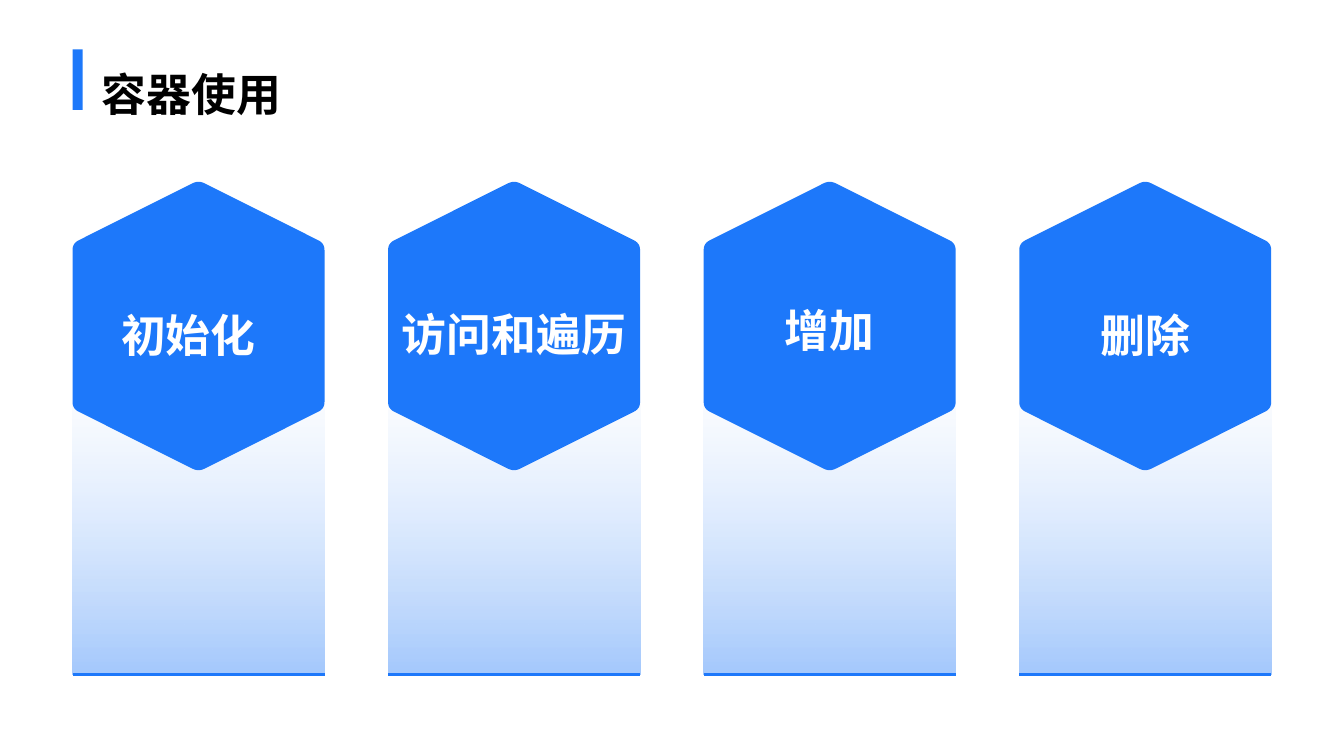
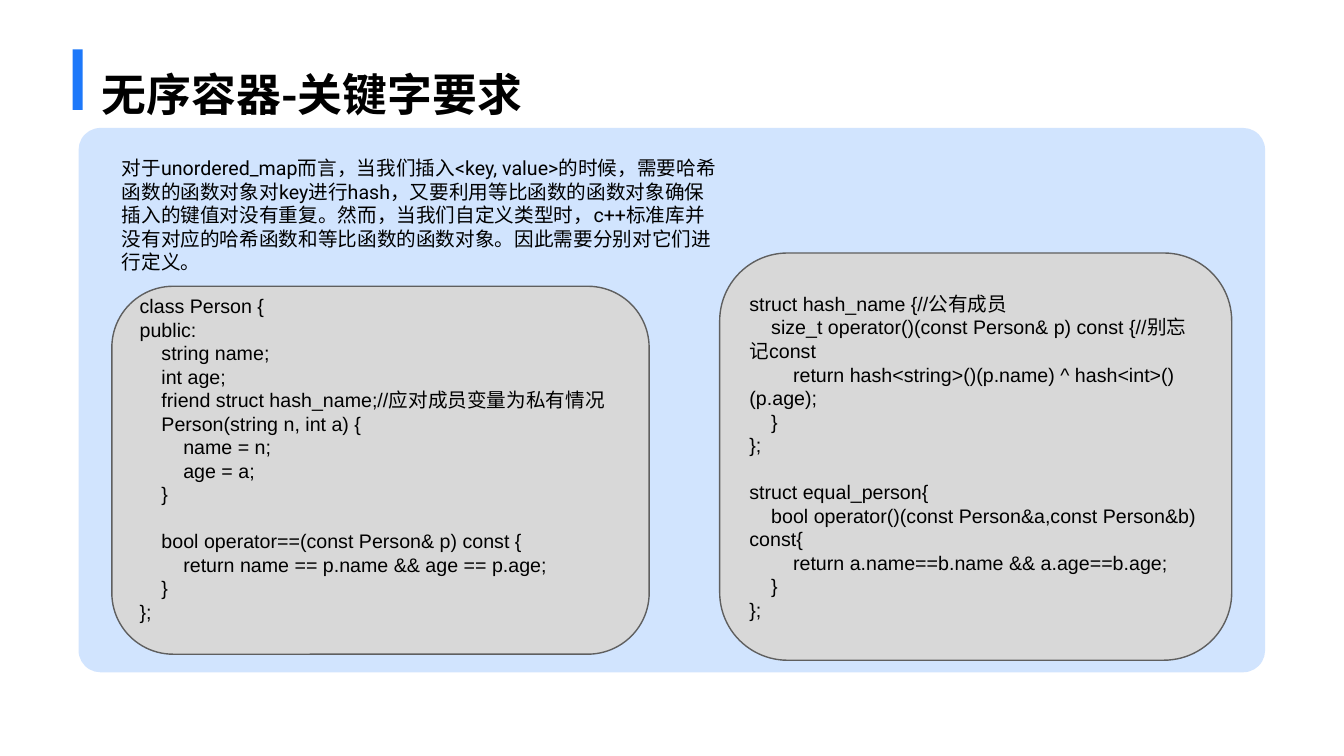
from math import hypot

from pptx import Presentation
from pptx.dml.color import RGBColor
from pptx.enum.shapes import MSO_CONNECTOR, MSO_SHAPE
from pptx.enum.text import MSO_ANCHOR, PP_ALIGN
from pptx.oxml.ns import qn
from pptx.util import Emu, Inches, Pt
from lxml import etree

RECT, ROUND = MSO_SHAPE.RECTANGLE, MSO_SHAPE.ROUNDED_RECTANGLE
LINE = MSO_CONNECTOR.STRAIGHT
MIDDLE = MSO_ANCHOR.MIDDLE
LEFT, CENTER = PP_ALIGN.LEFT, PP_ALIGN.CENTER

WIDE, HIGH = Inches(13.33), Inches(7.5)
HUES = {"blue": "1D78FA", "sky": "A5C9FD", "mist": "D2E4FE", "grey": "D8D8D8",
        "edge": "5F5F5F", "ink": "000000", "white": "FFFFFF"}
HAN, BODY, CODE = "Noto Sans CJK SC", "Roboto", "Arial"
START, PITCH, COL = 5.4, 23.48, 18.75
TAB, BLANK = Pt(15.57), Pt(16.8)

STEPS = [("初始化", -0.75, 38.67), ("访问和遍历", 0, 38.53),
         ("增加", 0, 38), ("删除", 0, 38.67)]
INTRO = ("对于unordered_map而言，当我们插入<key, value>的时候，需要哈希函数的函数对象"
         "对key进行hash，又要利用等比函数的函数对象确保插入的键值对没有重复。然而，"
         "当我们自定义类型时，c++标准库并没有对应的哈希函数和等比函数的函数对象。"
         "因此需要分别对它们进行定义。")
PERSON = """class Person {
public:
    string name;
    int age;
    friend struct hash_name;//应对成员变量为私有情况
    Person(string n, int a) {
        name = n;
        age = a;
    }

    bool operator==(const Person& p) const {
        return name == p.name && age == p.age;
    }
};"""
HASH = """struct hash_name {//公有成员
    size_t operator()(const Person& p) const {//别忘记const
        return hash<string>()(p.name) ^ hash<int>()(p.age);
    }
};

struct equal_person{
    bool operator()(const Person&a,const Person&b) const{
        return a.name==b.name && a.age==b.age;
    }
};"""


def hue(name):
    return RGBColor.from_string(HUES[name])


def across(share):
    return Emu(int(WIDE * share / 100))


def down(share):
    return Emu(int(HIGH * share / 100))


def area(x, y, w, h):
    return across(x), down(y), across(w), down(h)


def paint(shape, fill):
    shape.shadow.inherit = False
    shape.fill.solid()
    shape.fill.fore_color.rgb = hue(fill)
    shape.line.fill.background()
    return shape


def block(slide, kind, box, fill):
    return paint(slide.shapes.add_shape(kind, *area(*box)), fill)


def fade(shape, share):
    tint = list(shape._element.spPr.iter(qn("a:srgbClr")))[-1]
    etree.SubElement(tint, qn("a:alpha")).set("val", str(share * 1000))


def style(para, size, face, color="ink", bold=False):
    font = para.font
    font.size, font.name, font.bold = Pt(size), face, bold
    font.color.rgb = hue(color)
    props = para._p.pPr.find(qn("a:defRPr"))
    for node in [props] + [run.font._element for run in para.runs]:
        if node is not props:
            run_font = node
            run_font.set("sz", str(size * 100))
            run_font.set("b", str(int(bold)))
            for child in props:
                if child.tag != qn("a:ea"):
                    run_font.append(etree.fromstring(etree.tostring(child)))
            etree.SubElement(run_font, qn("a:ea")).set("typeface", HAN)


def style_run(para, size, face, color="ink", bold=False):
    font = para.font
    font.size, font.name, font.bold = Pt(size), face, bold
    font.color.rgb = hue(color)


def label(slide, text, box, size=32, face=HAN, color="ink", bold=True,
          align=LEFT, space=1.2):
    frame = slide.shapes.add_textbox(*area(*box)).text_frame
    frame.word_wrap = True
    para = frame.paragraphs[0]
    para.text, para.alignment, para.line_spacing = text, align, space
    dress(para, size, face, color, bold)


def dress(para, size, face, color="ink", bold=False):
    for part in [para] + list(para.runs):
        font = part.font
        font.size, font.name, font.bold = Pt(size), face, bold
        font.color.rgb = hue(color)
        props = font._element
        mark = etree.Element(qn("a:ea"))
        mark.set("typeface", HAN)
        props.find(qn("a:latin")).addnext(mark)


def page(deck, title):
    slide = deck.slides.add_slide(deck.slide_layouts[6])
    block(slide, RECT, (START, 6.53, 0.75, 8), "blue")
    label(slide, title, (6.83, 6.8, 41.94, 9.2))
    return slide


def bend(last, tip, after, trim, count=6):
    def near(end):
        part = trim / hypot(end[0] - tip[0], end[1] - tip[1])
        return [t + (e - t) * part for t, e in zip(tip, end)]

    head, tail = near(last), near(after)
    for step in range(count + 1):
        t = step / count
        yield tuple(int((1 - t) ** 2 * a + 2 * t * (1 - t) * b + t * t * c)
                    for a, b, c in zip(head, tip, tail))


def hexagon(slide, x):
    mid, peak, side = 43.13, 19.27, 10.93
    tips = [(across(x + COL * a), down(mid + b)) for a, b in
            [(0.5, -peak), (1, -side), (1, side),
             (0.5, peak), (0, side), (0, -side)]]
    dots = [dot for i, tip in enumerate(tips)
            for dot in bend(tips[i - 1], tip, tips[(i + 1) % 6], across(0.5))]
    form = slide.shapes.build_freeform(*dots[0])
    form.add_line_segments(dots[1:], close=True)
    paint(form.convert_to_shape(), "blue")


def column(slide, x):
    top, tall = 49.2, 40
    card = block(slide, RECT, (x, top, COL, tall), "sky")
    card.fill.gradient()
    card.fill.gradient_angle = 90
    for stop, name in zip(card.fill.gradient_stops, ("sky", "mist")):
        stop.color.rgb = hue(name)
    fade(card, 0)
    base = down(top + tall)
    rule = slide.shapes.add_connector(LINE, across(x), base,
                                      across(x + COL), base)
    rule.line.color.rgb = hue("blue")
    rule.line.width = Pt(2.25)
    etree.SubElement(rule._element.spPr, qn("a:effectLst"))
    hexagon(slide, x)


def code(slide, text, box, foot=0.67):
    card = block(slide, ROUND, box, "grey")
    card.line.color.rgb = hue("edge")
    card.line.width = Pt(1)
    frame = card.text_frame
    frame.word_wrap = True
    frame.vertical_anchor = MIDDLE
    frame.margin_bottom = down(foot)
    para, gap = frame.paragraphs[0], False
    for row in text.split("\n"):
        if not row:
            gap = True
            continue
        if para.runs:
            para = frame.add_paragraph()
        para.text, para.alignment = row.strip(), LEFT
        depth = (len(row) - len(row.lstrip())) // 4
        props = para._p.get_or_add_pPr()
        props.set("marL", "0")
        props.set("indent", str(depth * TAB))
        if gap:
            para.space_before, gap = BLANK, False
        dress(para, 14, CODE)


def usage(deck):
    slide = page(deck, "容器使用")
    for i, (text, shift, y) in enumerate(STEPS):
        x = START + i * PITCH
        column(slide, x)
        label(slide, text, (x + shift, y, COL, 9.2),
              color="white", align=CENTER)


def keys(deck):
    slide = page(deck, "无序容器-关键字要求")
    panel = block(slide, ROUND, (5.85, 16.93, 88.28, 72), "blue")
    panel.adjustments[0] = 0.04
    fade(panel, 20)
    label(slide, INTRO, (8.32, 20, 46.12, 13.87), 14, BODY,
          bold=False, space=1.0)
    code(slide, HASH, (53.55, 33.47, 38.1, 53.87))
    code(slide, PERSON, (8.32, 37.87, 39.98, 48.67), 3.73)


def main():
    deck = Presentation()
    deck.slide_width, deck.slide_height = WIDE, HIGH
    usage(deck)
    keys(deck)
    deck.save("out.pptx")


if __name__ == "__main__":
    main()
